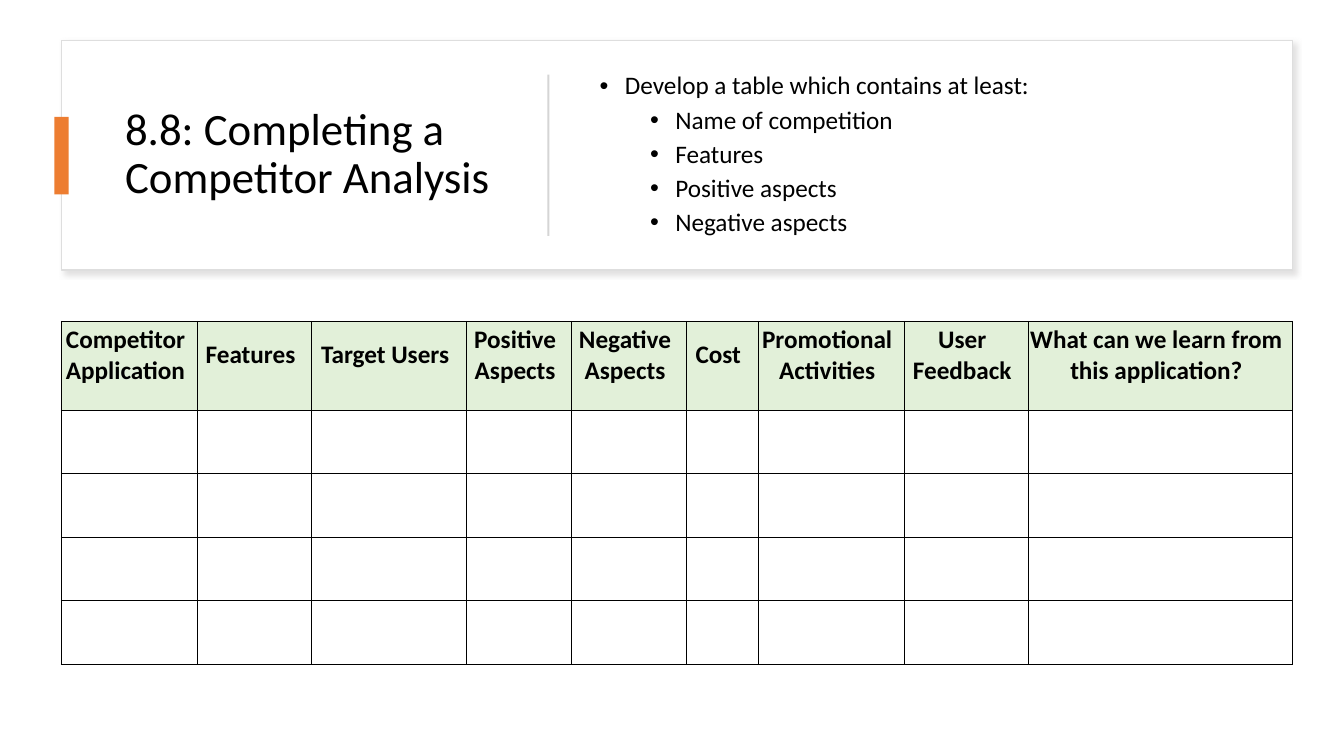
from dataclasses import dataclass

from lxml.etree import SubElement
from pptx import Presentation
from pptx.dml.color import RGBColor
from pptx.enum.shapes import MSO_SHAPE
from pptx.enum.text import MSO_ANCHOR, MSO_AUTO_SIZE, PP_ALIGN
from pptx.oxml.ns import qn
from pptx.util import Emu, Pt


@dataclass(frozen=True)
class Theme:
    font: str = "Calibri"
    ink: str = "000000"
    paper: str = "FFFFFF"
    card_line: str = "DEDEDE"
    card_shadow: str = "C5C3C3"
    accent: str = "ED7D31"
    divider: str = "D5D5D5"
    header_fill: str = "E2F0D9"
    title_size: int = 32
    text_size: int = 18


THEME = Theme()
SCALE = 9144  # EMU per px, 100 px to the inch

TITLE = "8.8: Completing a Competitor Analysis"
BULLETS = [
    (0, "Develop a table which contains at least:"),
    (1, "Name of competition"),
    (1, "Features"),
    (1, "Positive aspects"),
    (1, "Negative aspects"),
]
COLUMNS = [
    ("Competitor Application", 135),
    ("Features", 113),
    ("Target Users", 154),
    ("Positive Aspects", 104),
    ("Negative Aspects", 114),
    ("Cost", 71),
    ("Promotional Activities", 145),
    ("User Feedback", 123),
    ("What can we learn from this application?", 262),
]
EMPTY_ROWS = 4
HEADER_HEIGHT, ROW_HEIGHT = 88, 63


def px(n):
    return Emu(n * SCALE)


def color(value):
    return RGBColor.from_string(value)


def add_run(p, text, size, bold=False):
    r = p.add_run()
    r.text = text
    r.font.name = THEME.font
    r.font.size = Pt(size)
    r.font.bold = bold
    r.font.color.rgb = color(THEME.ink)


def add_rect(s, x, y, w, h, fill, line=None):
    sp = s.shapes.add_shape(MSO_SHAPE.RECTANGLE, px(x), px(y), px(w), px(h))
    sp.shadow.inherit = False
    sp.fill.solid()
    sp.fill.fore_color.rgb = color(fill)
    if line:
        sp.line.color.rgb = color(line)
        sp.line.width = Pt(1)
    else:
        sp.line.fill.background()
    return sp


def add_shadow(sp):
    effects = sp._element.spPr.find(qn("a:effectLst"))
    shadow = SubElement(effects, qn("a:outerShdw"), blurRad=str(Pt(4)),
                        dist=str(Pt(3)), dir="2700000", algn="tl", rotWithShape="0")
    clr = SubElement(shadow, qn("a:srgbClr"), val=THEME.card_shadow)
    SubElement(clr, qn("a:alpha"), val="50000")


def set_title(s, x, y, w, h):
    sp = s.shapes.title
    sp.left, sp.top, sp.width, sp.height = px(x), px(y), px(w), px(h)
    tf = sp.text_frame
    tf.word_wrap = True
    tf.auto_size = MSO_AUTO_SIZE.NONE
    tf.vertical_anchor = MSO_ANCHOR.MIDDLE
    p = tf.paragraphs[0]
    p.alignment = PP_ALIGN.LEFT
    p.line_spacing = 0.9
    add_run(p, TITLE, THEME.title_size)


def add_bullets(s, x, y, w, h):
    tf = s.shapes.add_textbox(px(x), px(y), px(w), px(h)).text_frame
    tf.word_wrap = True
    tf.vertical_anchor = MSO_ANCHOR.MIDDLE
    for i, (level, text) in enumerate(BULLETS):
        p = tf.add_paragraph() if i else tf.paragraphs[0]
        p.level = level
        p.line_spacing = 0.9
        p.space_before = Pt(5 if level else 10)
        pPr = p._p.get_or_add_pPr()
        pPr.set("marL", str(px(25 + 50 * level)))
        pPr.set("indent", str(px(-25)))
        SubElement(pPr, qn("a:buFont"), typeface="Arial")
        SubElement(pPr, qn("a:buChar"), char="•")
        add_run(p, text, THEME.text_size)


def add_borders(cell):
    tcPr = cell._tc.get_or_add_tcPr()
    for side in ("lnL", "lnR", "lnT", "lnB"):
        ln = SubElement(tcPr, qn(f"a:{side}"), w=str(Pt(1)))
        fill = SubElement(ln, qn("a:solidFill"))
        SubElement(fill, qn("a:srgbClr"), val=THEME.ink)


def fill_header(cell, text):
    cell.fill.solid()
    cell.fill.fore_color.rgb = color(THEME.header_fill)
    cell.vertical_anchor = MSO_ANCHOR.MIDDLE
    cell.margin_left, cell.margin_top = px(0), px(3)
    cell.margin_right, cell.margin_bottom = px(8), px(24)
    p = cell.text_frame.paragraphs[0]
    p.alignment = PP_ALIGN.CENTER
    add_run(p, text, THEME.text_size, bold=True)


def add_analysis_table(s, x, y):
    width = sum(w for _, w in COLUMNS)
    height = HEADER_HEIGHT + EMPTY_ROWS * ROW_HEIGHT
    table = s.shapes.add_table(EMPTY_ROWS + 1, len(COLUMNS),
                               px(x), px(y), px(width), px(height)).table
    table.horz_banding = False
    for i, row in enumerate(table.rows):
        row.height = px(ROW_HEIGHT if i else HEADER_HEIGHT)
    for j, (heading, w) in enumerate(COLUMNS):
        table.columns[j].width = px(w)
        for i in range(EMPTY_ROWS + 1):
            cell = table.cell(i, j)
            add_borders(cell)
            if i:
                cell.fill.background()
            else:
                fill_header(cell, heading)


def main():
    prs = Presentation()
    prs.slide_width, prs.slide_height = px(1333), px(750)
    s = prs.slides.add_slide(prs.slide_layouts[5])

    # Heading card, placed behind the title
    card = add_rect(s, 61, 40, 1221, 228, THEME.paper, THEME.card_line)
    add_shadow(card)
    s.shapes.title._element.addprevious(card._element)
    set_title(s, 114, 64, 389, 180)
    add_rect(s, 54, 116, 14, 77, THEME.accent)
    add_rect(s, 543, 74, 2, 160, THEME.divider)
    add_bullets(s, 585, 64, 656, 180)

    # Competitor table
    add_analysis_table(s, 61, 319)

    prs.save("out.pptx")


if __name__ == "__main__":
    main()
